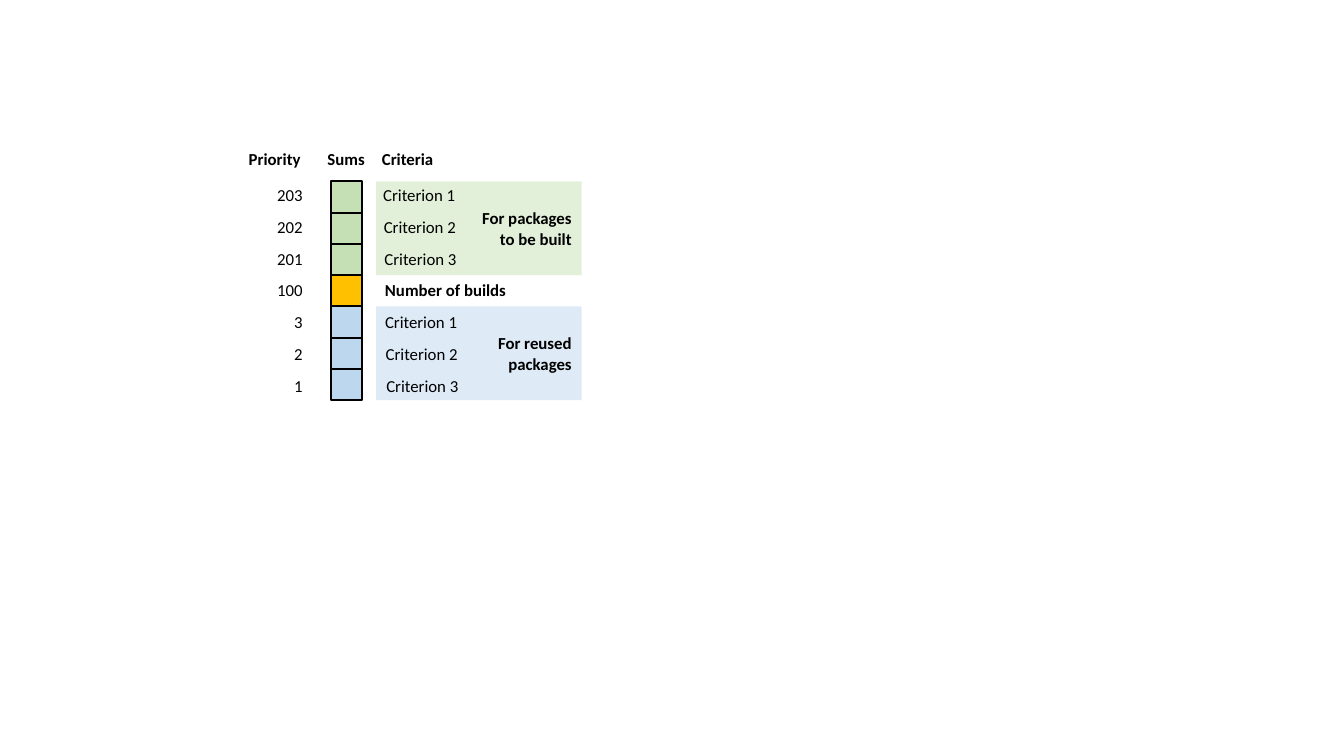
from copy import deepcopy
from pptx import Presentation
from pptx.dml.color import RGBColor
from pptx.enum.shapes import MSO_SHAPE as SHAPE
from pptx.enum.text import MSO_ANCHOR as ANCHOR, MSO_AUTO_SIZE as AUTO, PP_ALIGN as ALIGN
from pptx.oxml.ns import qn
from pptx.util import Inches, Pt

COLORS = {
    "ink": "000000",
    "built": "C5E0B4", "built_panel": "E2F0D9",
    "builds": "FFC000",
    "reused": "BDD7EE", "reused_panel": "DEEBF7",
}
UNIT = 0.31        # side of one sum cell, the grid unit
LABEL_STEP = 1.02  # label pitch in rows
LABEL_TOP = -0.06  # first label's top in rows
LABEL_ROWS = 0.97

PRIORITIES = ["203", "202", "201", "100", "3", "2", "1"]
CRITERIA = ["Criterion 1", "Criterion 2", "Criterion 3"]
# first row, colour, criteria column, panel text
GROUPS = [
    (4, "reused", 1.42, "For reused\npackages"),
    (0, "built", 1.36, "For packages\nto be built"),
]
# column, width in columns, text
HEADERS = [(-2.94, 2.32, "Priority"), (-0.42, 1.87, "Sums"), (1.32, 2.32, "Criteria")]


def rgb(name):
    return RGBColor.from_string(COLORS[name])


def grid_box(origin, col, row, cols, rows):
    x, y = origin
    return [Inches(v) for v in (x + col * UNIT, y + row * UNIT, cols * UNIT, rows * UNIT)]


def write(tf, text, bold=False, align=ALIGN.LEFT):
    p = tf.paragraphs[0]
    p.text, p.alignment = text, align
    for r in p.runs:
        for key, value in {"name": "Calibri", "size": Pt(12), "bold": bold}.items():
            setattr(r.font, key, value)
        r.font.color.rgb = rgb("ink")
    # Line breaks take the same size as the text
    for br in p._p.findall(qn("a:br")):
        br.append(deepcopy(p.runs[0]._r.rPr))


def add_rect(s, box, fill, outlined=False):
    sp = s.shapes.add_shape(SHAPE.RECTANGLE, *box)
    sp.shadow.inherit = False
    sp.fill.solid()
    sp.fill.fore_color.rgb = rgb(fill)
    if outlined:
        sp.line.color.rgb = rgb("ink")
        sp.line.width = Pt(1.5)
    else:
        sp.line.fill.background()
    return sp


def add_label(s, box, text, **style):
    tf = s.shapes.add_textbox(*box).text_frame
    tf.word_wrap = False
    tf.auto_size = AUTO.SHAPE_TO_FIT_TEXT
    write(tf, text, **style)


def label_box(origin, col, row, cols):
    return grid_box(origin, col, LABEL_TOP + row * LABEL_STEP, cols, LABEL_ROWS)


def add_panels(s, origin):
    for row, name, _, text in GROUPS:
        sp = add_rect(s, grid_box(origin, 1.45, row, 6.58, 3), name + "_panel")
        sp.text_frame.vertical_anchor = ANCHOR.MIDDLE
        write(sp.text_frame, text, bold=True, align=ALIGN.RIGHT)


def add_sums(s, origin):
    for row, fill in enumerate(["built"] * 3 + ["builds"] + ["reused"] * 3):
        add_rect(s, grid_box(origin, 0, row, 1, 1), fill, outlined=True)


def add_labels(s, origin):
    for first, _, col, _ in GROUPS:
        for i, text in enumerate(CRITERIA):
            add_label(s, label_box(origin, col + 0.02 * i, first + i, 2.97), text)
    add_label(s, label_box(origin, 1.42, 3, 4.58), "Number of builds", bold=True)
    for row, text in enumerate(PRIORITIES):
        add_label(s, label_box(origin, -2.06, row, 1.48), text, align=ALIGN.RIGHT)
    for col, cols, text in HEADERS:
        add_label(s, grid_box(origin, col, -1.2, cols, LABEL_ROWS), text, bold=True)


def add_priority_scheme(s, origin):
    add_panels(s, origin)
    add_sums(s, origin)
    add_labels(s, origin)


prs = Presentation()
prs.slide_width, prs.slide_height = Inches(13.33), Inches(7.5)
slide = prs.slides.add_slide(prs.slide_layouts[6])
add_priority_scheme(slide, (3.28, 1.8))
prs.save("out.pptx")
